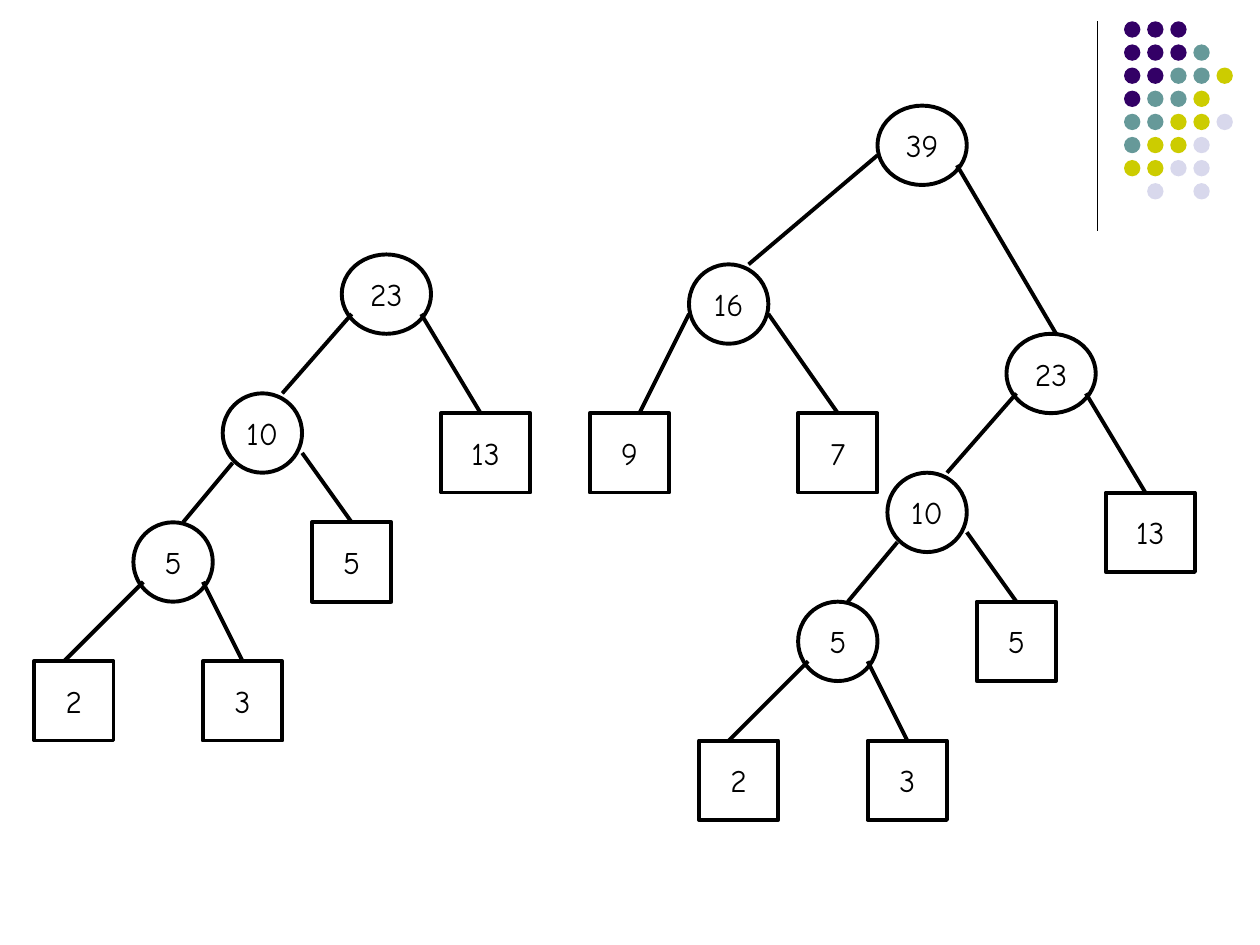
import pptx
import pptx.dml.color
import pptx.enum.shapes
import pptx.enum.text
import pptx.oxml.ns
import pptx.util
from lxml import etree

CELL = pptx.util.Cm(0.2)  # one column or row of the drawing grid
NODE_HEIGHT = 8
INK, PAPER = "000000", "FFFFFF"
TREE_LINE = 2.25
LABEL_FONT = {"name": "Comic Neue", "size": pptx.util.Pt(18)}
OVAL = pptx.enum.shapes.MSO_SHAPE.OVAL
RECTANGLE = pptx.enum.shapes.MSO_SHAPE.RECTANGLE

# One letter for each dot, row by row
DOT_ROWS = ["ppp", "pppt", "pptty", "ptty", "ttyyl", "tyyl", "yyll", " l l"]
DOT_COLORS = {"p": "330066", "t": "669999", "y": "CCCC00", "l": "D8D8EC"}

# Nodes: (label, shape, column, row, width)
# Edges: (start column, start row, end column, end row)
TREE_23 = {
    "nodes": [
        ("5", OVAL, 10, 27, 8), ("10", OVAL, 19, 14, 8),
        ("3", RECTANGLE, 17, 41, 8), ("2", RECTANGLE, 0, 41, 8),
        ("5", RECTANGLE, 28, 27, 8), ("23", OVAL, 31, 0, 9),
        ("13", RECTANGLE, 41, 16, 9),
    ],
    "edges": [
        (20, 21, 15, 27), (11, 33, 3, 41), (17, 33, 21, 41),
        (27, 20, 32, 27), (32, 6, 25, 14), (39, 6, 45, 16),
    ],
}
TREE_16 = {
    "nodes": [("16", OVAL, 10, 0, 8), ("7", RECTANGLE, 21, 15, 8),
              ("9", RECTANGLE, 0, 15, 8)],
    "edges": [(10, 5, 5, 15), (18, 5, 25, 15)],
}
ROOT_39 = {
    "nodes": [("39", OVAL, 0, 0, 9)],
    "edges": [(0, 5, -13, 16), (8, 6, 18, 23)],
}


def grid(*cells):
    return [round(cell * CELL) for cell in cells]


def color(hex_string):
    return pptx.dml.color.RGBColor.from_string(hex_string)


def add_filled(shapes, preset, box, fill):
    shape = shapes.add_shape(preset, *grid(*box))
    shape.shadow.inherit = False
    shape.fill.solid()
    shape.fill.fore_color.rgb = color(fill)
    shape.line.fill.background()
    return shape


def add_line(shapes, ends, width):
    line = shapes.add_connector(
        pptx.enum.shapes.MSO_CONNECTOR.STRAIGHT, *grid(*ends))
    line.line.color.rgb = color(INK)
    line.line.width = pptx.util.Pt(width)
    etree.SubElement(line._element.spPr, pptx.oxml.ns.qn("a:effectLst"))
    return line


def add_node(shapes, label, preset, box):
    node = add_filled(shapes, preset, box, PAPER)
    node.line.color.rgb = color(INK)
    node.line.width = pptx.util.Pt(TREE_LINE)
    frame = node.text_frame
    frame.word_wrap = False
    frame.vertical_anchor = pptx.enum.text.MSO_ANCHOR.MIDDLE
    paragraph = frame.paragraphs[0]
    paragraph.alignment = pptx.enum.text.PP_ALIGN.CENTER
    run = paragraph.add_run()
    run.text = label
    for attribute, value in LABEL_FONT.items():
        setattr(run.font, attribute, value)
    run.font.color.rgb = color(INK)
    return node


def add_tree(shapes, tree, left, top):
    leaf_tops = {}
    for label, preset, column, row, width in tree["nodes"]:
        box = (left + column, top + row, width, NODE_HEIGHT)
        node = add_node(shapes, label, preset, box)
        if preset == RECTANGLE:
            leaf_tops[column + width / 2, row] = node
    for x1, y1, x2, y2 in tree["edges"]:
        ends = (left + x1, top + y1, left + x2, top + y2)
        edge = add_line(shapes, ends, TREE_LINE)
        # Join edges that meet a leaf at the middle of its top side
        if (x2, y2) in leaf_tops:
            edge.end_connect(leaf_tops[x2, y2], 0)


def add_dots(shapes, left, top, pitch, size):
    for row, letters in enumerate(DOT_ROWS):
        for column, letter in enumerate(letters):
            if letter in DOT_COLORS:
                box = (left + column * pitch, top + row * pitch, size, size)
                add_filled(shapes, OVAL, box, DOT_COLORS[letter])


def main():
    deck = pptx.Presentation()
    deck.slide_width = pptx.util.Inches(10)
    deck.slide_height = pptx.util.Inches(7.5)
    shapes = deck.slides.add_slide(deck.slide_layouts[6]).shapes

    # Corner decoration
    add_line(shapes, (110.63, 2.15, 110.63, 23.25), 0.75)
    add_dots(shapes.add_group_shape().shapes, 113.3, 2.15, 2.33, 1.65)

    # Tree before the merge, then the two subtrees under the new root
    for tree, left, top in [(TREE_23, 3.45, 25.65), (TREE_23, 70.45, 33.65),
                            (TREE_16, 59.45, 26.65)]:
        add_tree(shapes.add_group_shape().shapes, tree, left, top)
    add_tree(shapes, ROOT_39, 88.45, 10.65)

    deck.save("out.pptx")


if __name__ == "__main__":
    main()
